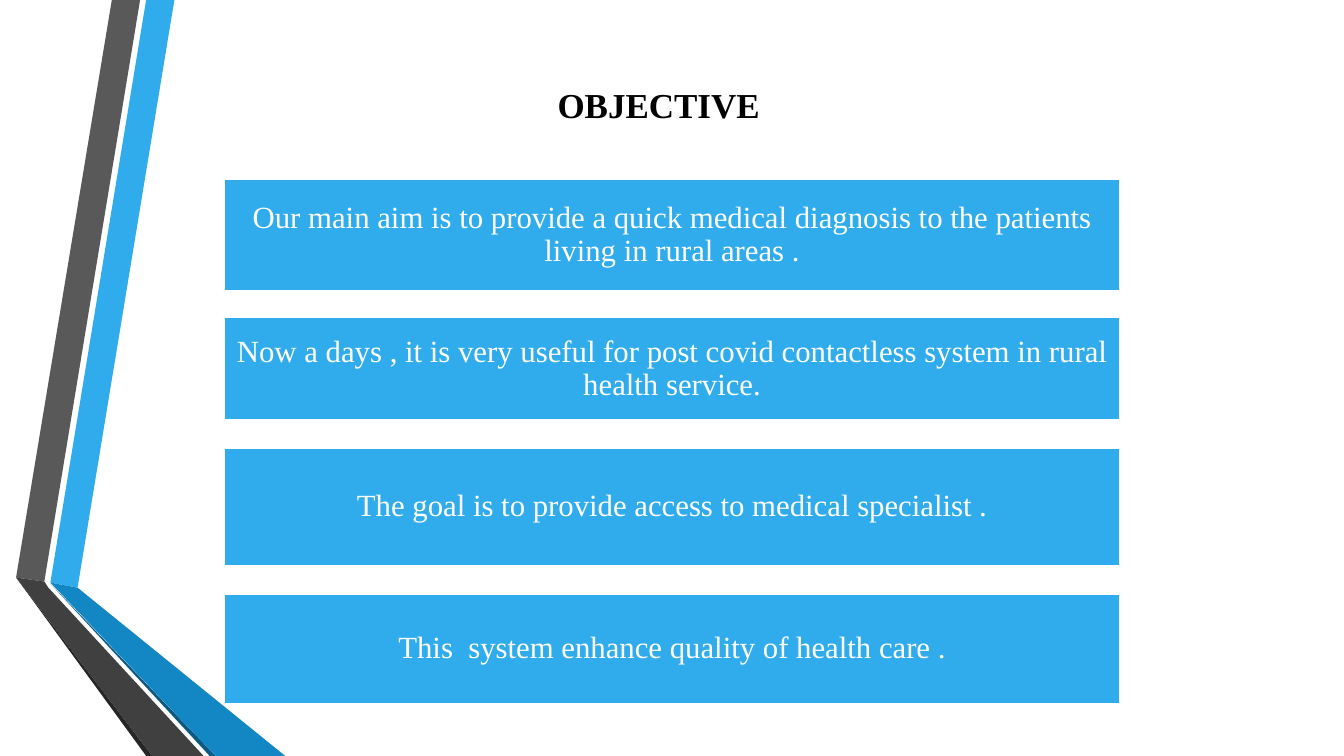
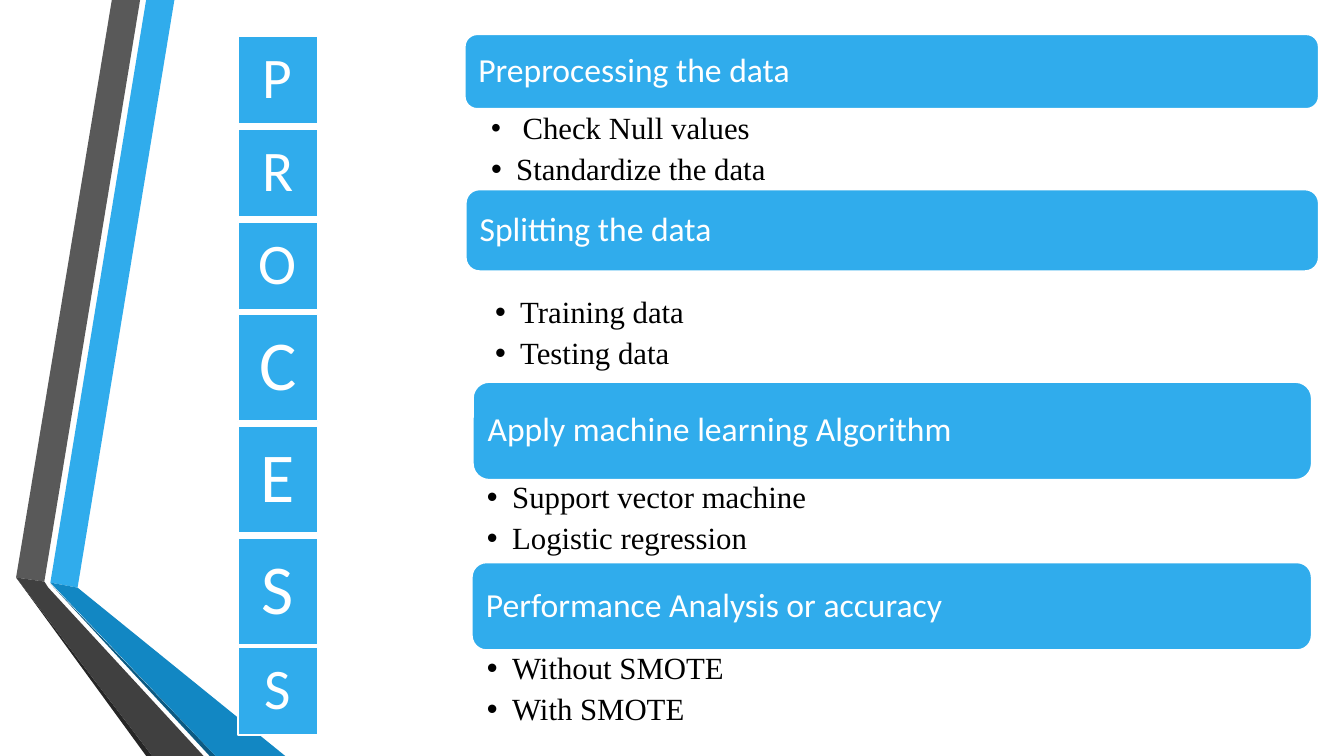
from lxml import etree
from pptx import Presentation
from pptx.dml.color import RGBColor
from pptx.enum.shapes import MSO_SHAPE
from pptx.enum.text import MSO_ANCHOR, MSO_AUTO_SIZE, PP_ALIGN
from pptx.oxml.ns import qn
from pptx.util import Pt

PX = 9144  # EMU per px, 100 px to the inch
COLORS = {
    "blue": "30ACEC", "mid_blue": "1287C3", "deep_blue": "0C5A82",
    "gray": "595959", "dark_gray": "404040", "near_black": "262626",
    "white": "FFFFFF", "black": "000000",
}
SERIF, SANS = "Times New Roman", "Calibri"
TITLE_ONLY, COMPARISON = 5, 4

RIBBON = [
    ("blue", [(50, 578), (77, 583), (173, 0), (145, 0)]),
    ("gray", [(139, 0), (111, 0), (16, 573), (44, 577)]),
    ("near_black", [(16, 573), (145, 750), (151, 750)]),
    ("deep_blue", [(50, 579), (208, 750), (214, 750)]),
    ("mid_blue", [(50, 578), (214, 750), (283, 750), (77, 583)]),
    ("dark_gray", [(202, 750), (48, 583), (44, 577), (16, 573), (151, 750)]),
]

OBJECTIVES = [  # text, top, height
    ("Our main aim is to provide a quick medical diagnosis to the patients "
     "living in rural areas .", 0, 111),
    ("Now a days , it is very useful for post covid contactless system in "
     "rural health service.", 137, 102),
    ("The goal is to provide access to medical specialist .", 267, 116),
    ("This  system enhance quality of health care .", 411, 109),
]

TILE_GROUPS = [  # letters, top, tile height, font size, inset
    ("PRO", 0, 87, 41, 11),
    ("CES", 276, 106, 50, 14),
    ("S", 606, 87, 41, 11),
]
TILE_GAP = 5

SECTIONS = [  # heading, bar box, list offset, list items as (text, font, size) runs
    ("Preprocessing the data", (461, 34, 847, 74), (26, 75),
     [[(" ", SANS, 20), ("Check Null values", SERIF, 22)],
      [("Standardize the data", SERIF, 22)]]),
    ("Splitting the data", (462, 188, 846, 81), (29, 104),
     [[("Training data", SERIF, 22)], [("Testing data", SERIF, 22)]]),
    ("Apply machine learning Algorithm", (469, 379, 832, 97), (14, 96),
     [[("Support vector machine", SERIF, 22)], [("Logistic regression", SERIF, 22)]]),
    ("Performance Analysis or accuracy", (468, 558, 833, 87), (15, 87),
     [[("Without SMOTE", SERIF, 22)], [("With SMOTE", SERIF, 22)]]),
]


def color(name):
    return RGBColor.from_string(COLORS[name])


def place(shape, box):
    shape.left, shape.top, shape.width, shape.height = (n * PX for n in box)


def set_frame(frame, anchor, insets):
    """Insets are left, top, right, bottom in px."""
    frame.word_wrap = True
    frame.auto_size = MSO_AUTO_SIZE.NONE
    frame.vertical_anchor = anchor
    (frame.margin_left, frame.margin_top,
     frame.margin_right, frame.margin_bottom) = (n * PX for n in insets)


def add_run(paragraph, text, font, size, color_name, bold=False):
    run = paragraph.add_run()
    run.text = text
    run.font.name, run.font.size, run.font.bold = font, Pt(size), bold
    run.font.color.rgb = color(color_name)


def add_panel(slide, preset, box, text, font, size, inset, align=PP_ALIGN.CENTER):
    """Blue box with a white outline and white text."""
    shape = slide.shapes.add_shape(preset, *(n * PX for n in box))
    shape.shadow.inherit = False
    shape.fill.solid()
    shape.fill.fore_color.rgb = color("blue")
    shape.line.color.rgb = color("white")
    shape.line.width = Pt(1.25)
    set_frame(shape.text_frame, MSO_ANCHOR.MIDDLE, [inset] * 4)
    paragraph = shape.text_frame.paragraphs[0]
    paragraph.alignment = align
    paragraph.line_spacing = 0.9
    add_run(paragraph, text, font, size, "white")


def move_ribbon_to_master(presentation, slide):
    """Draw the ribbon through a slide and move it behind the master's parts."""
    tree = presentation.slide_master.shapes.element
    for number, (color_name, points) in enumerate(RIBBON):
        builder = slide.shapes.build_freeform(*points[0], scale=PX)
        builder.add_line_segments(points[1:], close=True)
        shape = builder.convert_to_shape()
        shape.shadow.inherit = False
        shape.fill.solid()
        shape.fill.fore_color.rgb = color(color_name)
        shape.line.fill.background()
        shape.element.nvSpPr.cNvPr.set("id", str(100 + number))
        tree.insert(2 + number, shape.element)


def set_title(slide, box, text):
    title = slide.shapes.title
    place(title, box)
    set_frame(title.text_frame, MSO_ANCHOR.TOP, (10, 5, 10, 5))
    paragraph = title.text_frame.paragraphs[0]
    paragraph.alignment = PP_ALIGN.LEFT
    add_run(paragraph, text, SERIF, 25, "black", bold=True)


def fill_bullet_list(placeholder, box, items):
    place(placeholder, box)
    frame = placeholder.text_frame
    set_frame(frame, MSO_ANCHOR.TOP, (0, 3, 0, 3))
    for number, runs in enumerate(items):
        paragraph = frame.add_paragraph() if number else frame.paragraphs[0]
        paragraph.level = 1
        paragraph.alignment = PP_ALIGN.LEFT
        paragraph.line_spacing = 0.9
        paragraph.space_before, paragraph.space_after = Pt(0), Pt(5.5)
        for text, font, size in runs:
            add_run(paragraph, text, font, size, "black")
        properties = paragraph._p.get_or_add_pPr()
        properties.set("marL", str(25 * PX))
        properties.set("indent", str(-25 * PX))
        etree.SubElement(properties, qn("a:buChar")).set("char", "•")


def add_objective_cards(slide, left, top, width):
    for text, offset, height in OBJECTIVES:
        add_panel(slide, MSO_SHAPE.RECTANGLE, (left, top + offset, width, height),
                  text, SERIF, 22, 6)


def add_letter_tiles(slide, left, top, width):
    for letters, offset, height, size, inset in TILE_GROUPS:
        for number, letter in enumerate(letters):
            tile_top = top + offset + number * (height + TILE_GAP)
            add_panel(slide, MSO_SHAPE.RECTANGLE, (left, tile_top, width, height),
                      letter, SANS, size, inset)


def add_section(slide, placeholder, heading, bar, list_offset, items):
    left, top, width, _ = bar
    across, down = list_offset
    add_panel(slide, MSO_SHAPE.ROUNDED_RECTANGLE, bar, heading, SANS, 24, 10,
              PP_ALIGN.LEFT)
    fill_bullet_list(placeholder, (left + across, top + down, width - across, 83), items)


def build_objective_slide(slide):
    set_title(slide, (543, 78, 622, 52), "OBJECTIVE")
    add_objective_cards(slide, 222, 178, 889)


def build_process_slide(slide):
    title = slide.shapes.title.element
    title.getparent().remove(title)
    for placeholder, section in zip(slide.placeholders, SECTIONS):
        add_section(slide, placeholder, *section)
    add_letter_tiles(slide, 236, 36, 79)


def main():
    presentation = Presentation()
    presentation.slide_width, presentation.slide_height = 1333 * PX, 750 * PX
    objective, process = (
        presentation.slides.add_slide(presentation.slide_layouts[index])
        for index in (TITLE_ONLY, COMPARISON))
    move_ribbon_to_master(presentation, objective)
    build_objective_slide(objective)
    build_process_slide(process)
    presentation.save("out.pptx")


if __name__ == "__main__":
    main()
